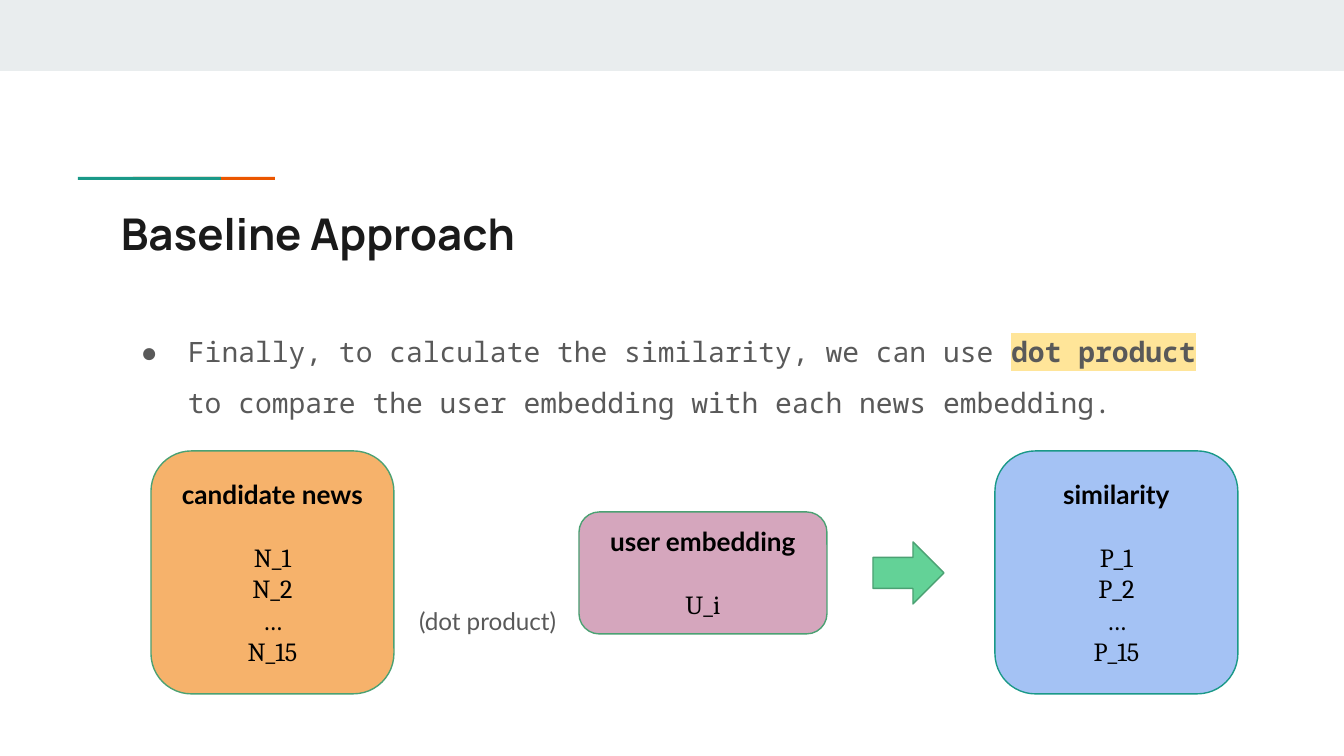
"""Build the Baseline Approach slide: dot product of candidate news and user embedding."""
from lxml import etree
from pptx import Presentation, util as u
from pptx.dml.color import RGBColor
from pptx.enum import shapes as s, text as t
from pptx.oxml.ns import qn

PX = 914400 / 134.4
INSET = 13


def px(*lengths):
    return [u.Emu(round(length * PX)) for length in lengths]


def add_run(paragraph, wording, size, font, color, bold=False):
    run = paragraph.add_run()
    run.text = wording
    run.font.size = u.Pt(size)
    run.font.name = font
    run.font.bold = bold
    run.font.color.rgb = RGBColor.from_string(color)
    return run


deck = Presentation()
deck.slide_width, deck.slide_height = px(1344, 756)
slide = deck.slides.add_slide(deck.slide_layouts[6])

for place, color in [
    ((0, 0, 1344, 71), "E9EDEE"),
    ((133, 177, 142, 3), "EB5600"),
    ((78, 177, 143, 3), "1A9988"),
]:
    band = slide.shapes.add_shape(s.MSO_SHAPE.RECTANGLE, *px(*place))
    band.shadow.inherit = False
    band.fill.solid()
    band.fill.fore_color.rgb = RGBColor.from_string(color)
    band.line.fill.background()

frames = []
for place in [(108, 194, 1130, 79), (108, 305, 1130, 396), (406, 593, 168, 50)]:
    frame = slide.shapes.add_textbox(*px(*place)).text_frame
    frame.word_wrap = True
    frame.margin_left, frame.margin_top, frame.margin_right, frame.margin_bottom = px(*[INSET] * 4)
    frames.append(frame)
title, body, operation = [frame.paragraphs[0] for frame in frames]

add_run(title, "Baseline Approach", 23.4, "Manrope", "1A1A1A", True)
add_run(operation, "(dot product)", 13, "Lato", "595959")

bullet = body._p.get_or_add_pPr()
bullet.set("marL", str(px(67)[0]))
bullet.set("indent", str(px(-47)[0]))
bullet_color = etree.SubElement(bullet, qn("a:buClr"))
etree.SubElement(bullet_color, qn("a:srgbClr"), val="595959")
etree.SubElement(bullet, qn("a:buFont"), typeface="Noto Sans Mono")
etree.SubElement(bullet, qn("a:buChar"), char="●")
body.line_spacing = 1.5
for wording, marked in [
    ("Finally, to calculate the similarity, we can use ", False),
    ("dot product", True),
    (" to compare the user embedding with each news embedding.", False),
]:
    run = add_run(body, wording, 15, "Noto Sans Mono", "595959", marked)
    if marked:
        highlight = etree.Element(qn("a:highlight"))
        etree.SubElement(highlight, qn("a:srgbClr"), val="FFE599")
        run._r.rPr.find(qn("a:solidFill")).addnext(highlight)

round_box, arrow = s.MSO_SHAPE.ROUNDED_RECTANGLE, s.MSO_SHAPE.RIGHT_ARROW
for kind, place, fill, outline, heading, entries in [
    (round_box, (151, 451, 243, 243), "F6B26B", "4BA173", "candidate news", ["N_1", "N_2", "…", "N_15"]),
    (arrow, (873, 542, 71, 62), "63D297", "4BA173", "", []),
    (round_box, (579, 512, 248, 122), "D5A6BD", "4BA173", "user embedding", ["U_i"]),
    (round_box, (995, 451, 243, 243), "A4C2F4", "1A9988", "similarity", ["P_1", "P_2", "…", "P_15"]),
]:
    step = slide.shapes.add_shape(kind, *px(*place))
    step.shadow.inherit = False
    step.fill.solid()
    step.fill.fore_color.rgb = RGBColor.from_string(fill)
    step.line.color.rgb = RGBColor.from_string(outline)
    step.line.width = u.Pt(0.75)
    if not heading:
        continue
    frame = step.text_frame
    frame.word_wrap = True
    frame.vertical_anchor = t.MSO_ANCHOR.MIDDLE
    frame.margin_left, frame.margin_top, frame.margin_right, frame.margin_bottom = px(*[INSET] * 4)
    frame.paragraphs[0].alignment = t.PP_ALIGN.CENTER
    add_run(frame.paragraphs[0], heading, 14, "Lato", "000000", True)
    for index, entry in enumerate(entries):
        line = frame.add_paragraph()
        line.alignment = t.PP_ALIGN.CENTER
        line.space_before = u.Pt(0 if index else 17)
        add_run(line, entry, 14, "Cambria", "000000")

deck.save("out.pptx")
